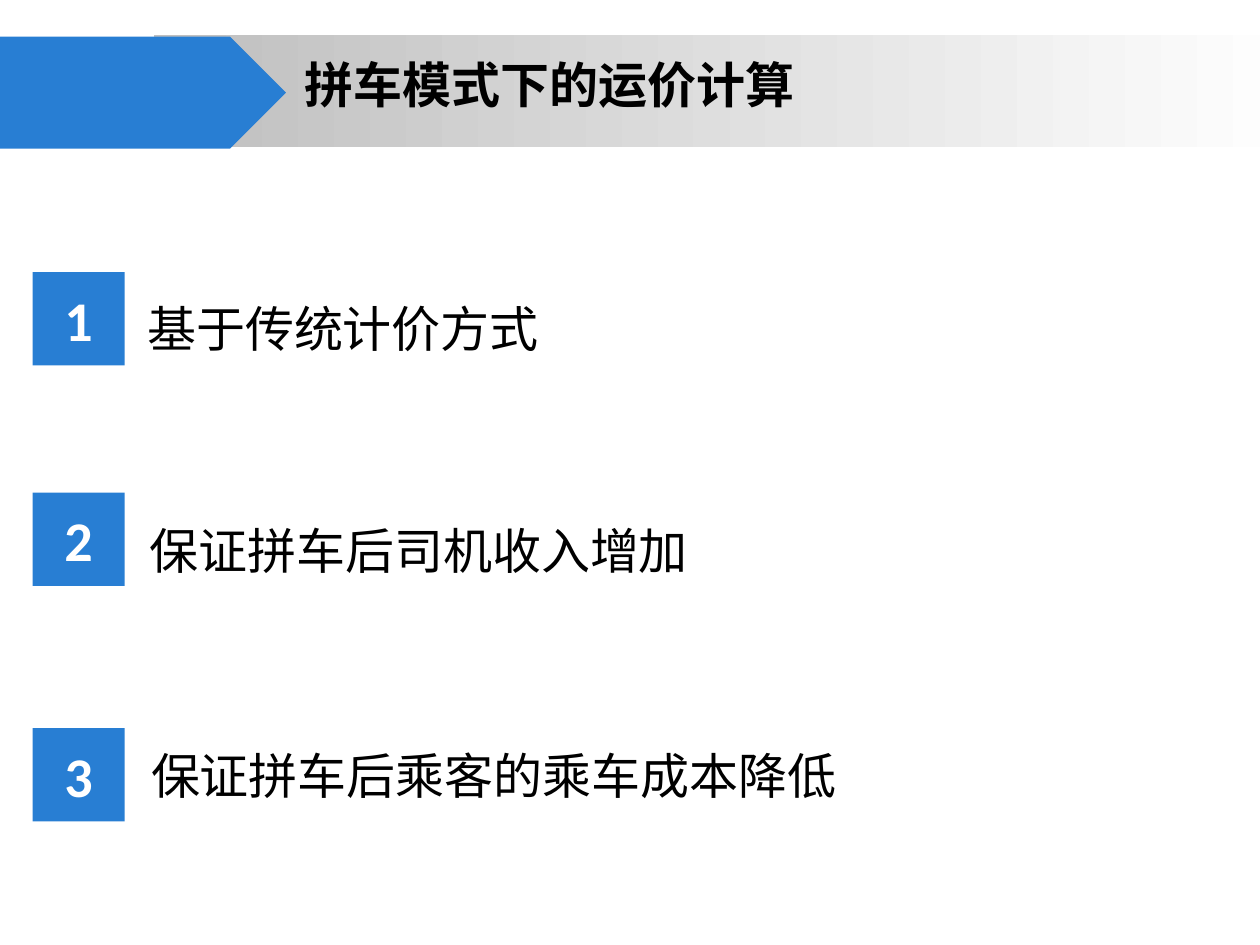
import pptx
import pptx.util
import pptx.oxml.ns
from lxml import etree
from pptx.dml.color import RGBColor
from pptx.enum.shapes import MSO_SHAPE
from pptx.enum.text import MSO_ANCHOR, PP_ALIGN
from pptx.util import Inches

COLORS = {"blue": "287ED3", "grey": "BFBFBF", "white": "FFFFFF", "black": "000000"}
CHINESE_FONT = "Noto Sans CJK SC"


def add_block(kind, left, top, width, height):
    """Add a blue preset shape without outline or shadow."""
    block = page.shapes.add_shape(
        kind, Inches(left), Inches(top), Inches(width), Inches(height))
    block.shadow.inherit = False
    block.line.fill.background()
    block.fill.solid()
    block.fill.fore_color.rgb = RGBColor.from_string(COLORS["blue"])
    return block


def write_text(shape, text, size, font_name, color, bold=False):
    shape.text_frame.word_wrap = True
    paragraph = shape.text_frame.paragraphs[0]
    paragraph.text = text
    font = paragraph.font
    font.size = pptx.util.Pt(size)
    font.bold = bold
    font.color.rgb = RGBColor.from_string(COLORS[color])
    font.name = font_name
    properties = paragraph._p.pPr.find(pptx.oxml.ns.qn("a:defRPr"))
    east_asian = etree.SubElement(properties, pptx.oxml.ns.qn("a:ea"))
    east_asian.set("typeface", font_name)
    return paragraph


deck = pptx.Presentation()
deck.slide_width = Inches(10)
deck.slide_height = Inches(7.5)
page = deck.slides.add_slide(deck.slide_layouts[6])

# Numbered points: number, text, square top, text left, text top, text width, text height
points = [
    ("1", "基于传统计价方式", 2.16, 1.07, 2.32, 4.52, 0.57),
    ("2", "保证拼车后司机收入增加", 3.91, 1.09, 4.08, 5.26, 0.57),
    ("3", "保证拼车后乘客的乘车成本降低", 5.78, 1.1, 5.87, 5.71, 1.04),
]
for number, text, square_top, left, top, width, height in points:
    square = add_block(MSO_SHAPE.RECTANGLE, 0.26, square_top, 0.73, 0.74)
    square.text_frame.vertical_anchor = MSO_ANCHOR.MIDDLE
    paragraph = write_text(square, number, 32, "Calibri", "white", bold=True)
    paragraph.alignment = PP_ALIGN.CENTER
    box = page.shapes.add_textbox(
        Inches(left), Inches(top), Inches(width), Inches(height))
    write_text(box, text, 28, CHINESE_FONT, "black")

# Title banner: a grey band fading to the right, under a blue arrow
band = add_block(MSO_SHAPE.RECTANGLE, 1.22, 0.28, 9.14, 0.89)
band.fill.gradient()
band.fill.gradient_angle = 0
for stop, color in zip(band.fill.gradient_stops, ("grey", "white")):
    stop.color.rgb = RGBColor.from_string(COLORS[color])
add_block(MSO_SHAPE.PENTAGON, 0, 0.29, 2.27, 0.89)

title = page.shapes.add_textbox(Inches(2.32), Inches(0.38), Inches(5.5), Inches(1.04))
write_text(title, "拼车模式下的运价计算", 28, CHINESE_FONT, "black", bold=True)

deck.save("out.pptx")
